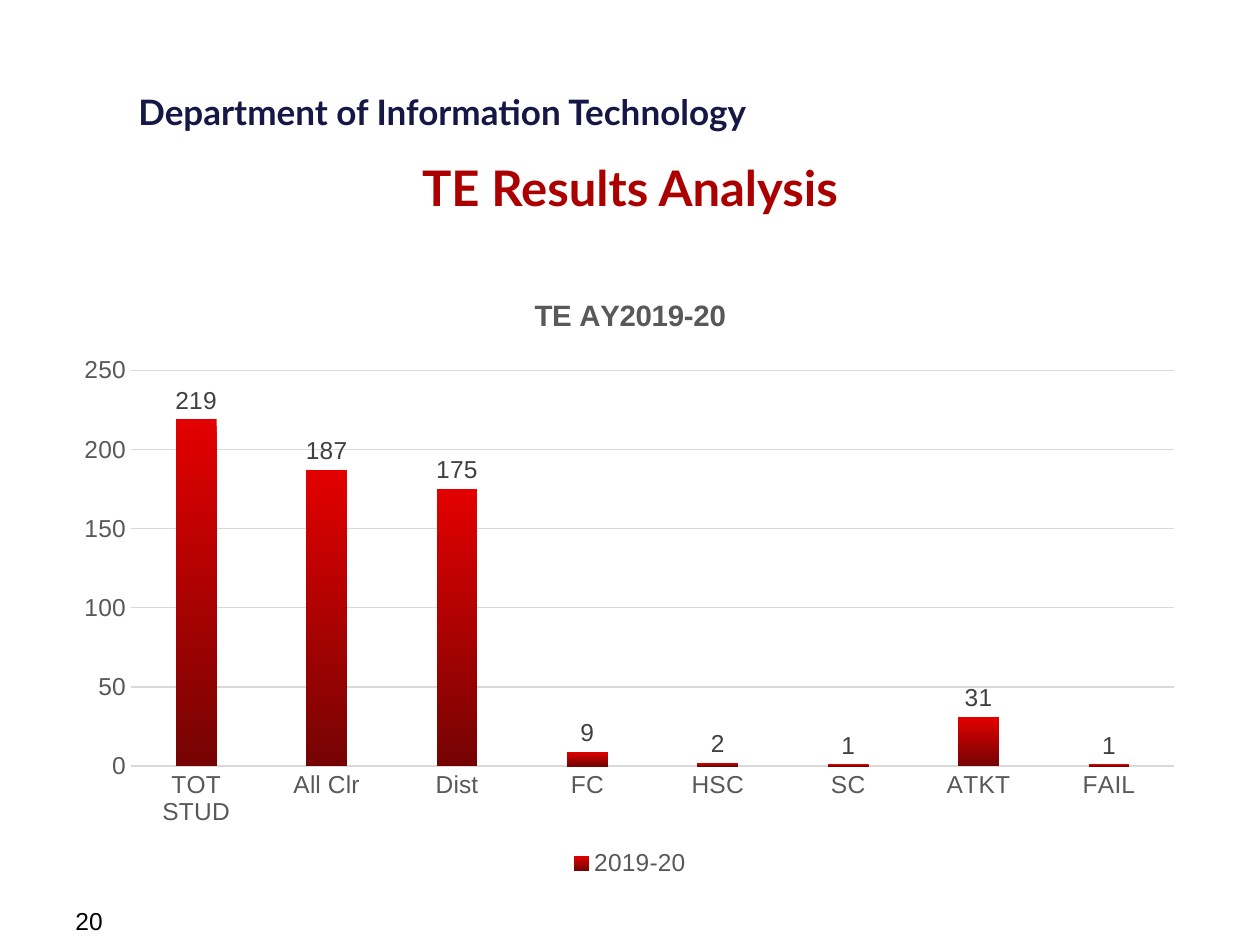
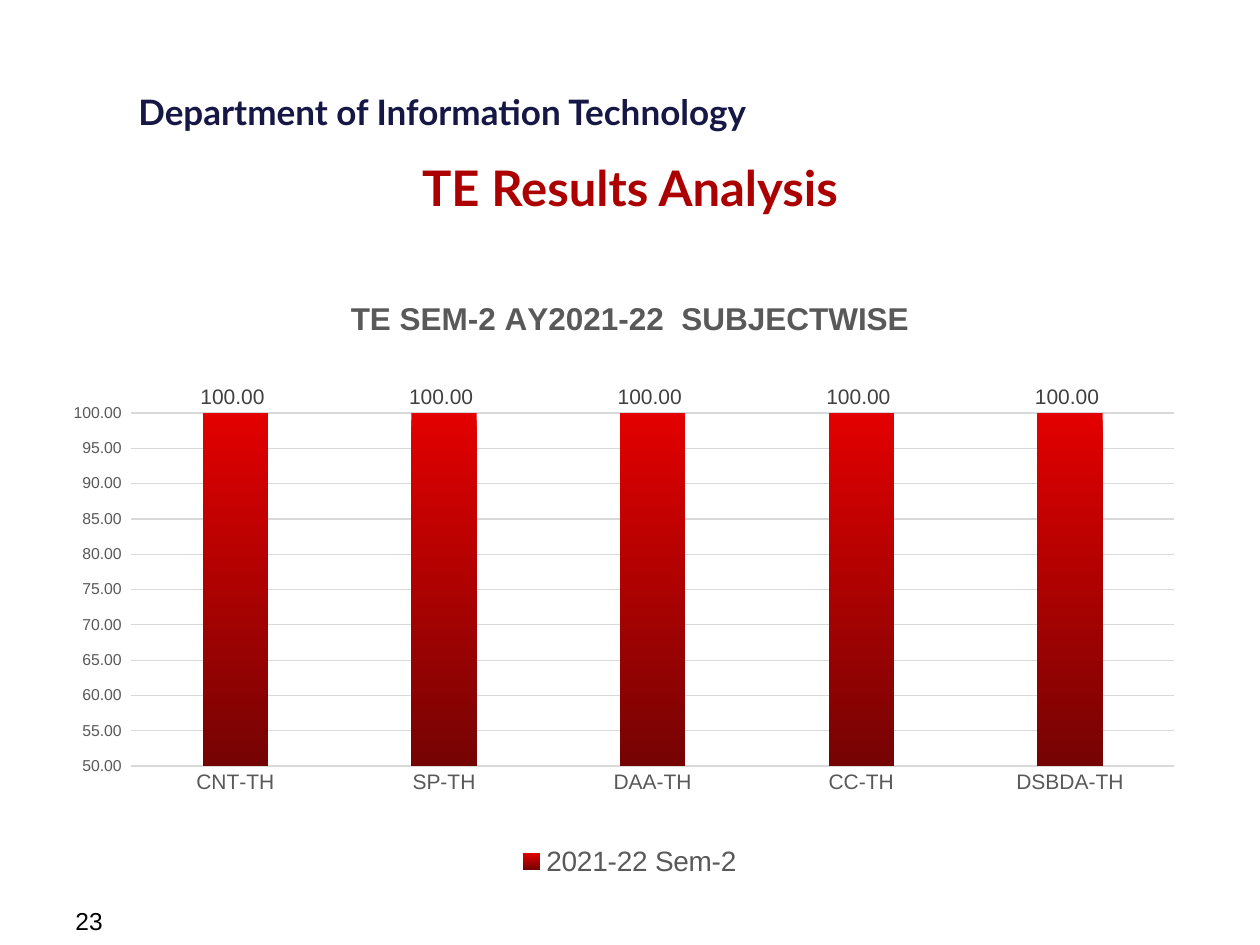
from pptx import Presentation
from pptx.chart.data import CategoryChartData
from pptx.dml.color import RGBColor
from pptx.enum.chart import XL_CHART_TYPE, XL_LABEL_POSITION, XL_LEGEND_POSITION, XL_TICK_MARK
from pptx.enum.text import PP_ALIGN
from pptx.oxml import parse_xml
from pptx.oxml.ns import nsdecls
from pptx.util import Pt

# Shared style
NAVY, RED, BLACK = "171745", "AC0000", "000000"
BAR_TOP, BAR_BOTTOM = "E30000", "760303"
AXIS_GREY, LABEL_GREY, GRID_GREY = "595959", "404040", "D9D9D9"
HEADING_FONT, BODY_FONT = "Lato", "Arial"
MARGIN, CONTENT_WIDTH = 36, 648


def color(hex_string):
    return RGBColor.from_string(hex_string)


def format_font(font, size, hex_color, name=BODY_FONT, bold=False):
    font.size = Pt(size)
    font.name = name
    font.bold = bold
    font.color.rgb = color(hex_color)


def add_text(slide, text, left, top, width, height, align=PP_ALIGN.LEFT, wrap=True, **font_format):
    shape = slide.shapes.add_textbox(Pt(left), Pt(top), Pt(width), Pt(height))
    shape.text_frame.word_wrap = wrap
    paragraph = shape.text_frame.paragraphs[0]
    paragraph.alignment = align
    run = paragraph.add_run()
    run.text = text
    format_font(run.font, **font_format)


def add_frame(slide, page_number):
    """Department line, slide title and page number."""
    add_text(slide, "Department of Information Technology", 72, 48, 385, 32,
             wrap=False, size=20, hex_color=NAVY, name=HEADING_FONT, bold=True)
    add_text(slide, "TE Results Analysis", MARGIN, 86.4, CONTENT_WIDTH, 34.6,
             align=PP_ALIGN.CENTER, size=28, hex_color=RED, name=HEADING_FONT, bold=True)
    add_text(slide, str(page_number), MARGIN, 514, 168, 19.4, size=14, hex_color=BLACK)


def place_plot(chart, left, top, width, height):
    """Fix the inner plot area, as fractions of the chart."""
    parts = zip("xywh", (left, top, width, height))
    values = "".join(f'<c:{key} val="{value}"/>' for key, value in parts)
    layout = parse_xml(
        f'<c:layout {nsdecls("c")}><c:manualLayout><c:layoutTarget val="inner"/>'
        f'<c:xMode val="edge"/><c:yMode val="edge"/>{values}</c:manualLayout></c:layout>')
    plot_area = chart.plots[0]._element.getparent()
    for old_layout in plot_area.findall(layout.tag):
        plot_area.remove(old_layout)
    plot_area.insert(0, layout)


def style_axes(chart, category_size, value_size, limits, number_format):
    category_axis, value_axis = chart.category_axis, chart.value_axis
    for axis, size in ((category_axis, category_size), (value_axis, value_size)):
        axis.major_tick_mark = axis.minor_tick_mark = XL_TICK_MARK.NONE
        format_font(axis.tick_labels.font, size, AXIS_GREY)
    value_axis.format.line.fill.background()
    value_axis.minimum_scale, value_axis.maximum_scale, value_axis.major_unit = limits
    value_axis.tick_labels.number_format = number_format
    value_axis.tick_labels.number_format_is_linked = False
    for line in (category_axis.format.line, value_axis.major_gridlines.format.line):
        line.color.rgb = color(GRID_GREY)
        line.width = Pt(0.75)


def style_bars(plot, label_size, number_format):
    plot.gap_width, plot.overlap, plot.vary_by_categories = 219, -27, False
    fill = plot.series[0].format.fill
    fill.gradient()
    fill.gradient_angle = 270
    for stop, hex_color in zip(fill.gradient_stops, (BAR_TOP, BAR_BOTTOM)):
        stop.color.rgb = color(hex_color)
    labels = plot.series[0].data_labels
    labels.show_value = True
    labels.position = XL_LABEL_POSITION.OUTSIDE_END
    labels.number_format = number_format
    labels.number_format_is_linked = False
    format_font(labels.font, label_size, LABEL_GREY)


def add_result_chart(slide, title, series_name, results, plot_box, limits, number_format="General",
                     title_size=18, category_size=12, value_size=9, label_size=12, legend_size=16):
    data = CategoryChartData()
    data.categories = list(results)
    data.add_series(series_name, list(results.values()))
    chart = slide.shapes.add_chart(XL_CHART_TYPE.COLUMN_CLUSTERED, Pt(MARGIN), Pt(156),
                                   Pt(CONTENT_WIDTH), Pt(348), data).chart
    format_font(chart.font, value_size, BLACK)

    # Title and legend
    chart.has_title = True
    run = chart.chart_title.text_frame.paragraphs[0].add_run()
    run.text = title
    format_font(run.font, title_size, AXIS_GREY, bold=True)
    chart.chart_title.include_in_layout = False
    chart.has_legend = True
    chart.legend.position = XL_LEGEND_POSITION.BOTTOM
    chart.legend.include_in_layout = False
    format_font(chart.legend.font, legend_size, AXIS_GREY)

    style_axes(chart, category_size, value_size, limits, number_format)
    style_bars(chart.plots[0], label_size, number_format)
    place_plot(chart, *plot_box)


def add_slide(presentation, page_number):
    slide = presentation.slides.add_slide(presentation.slide_layouts[6])
    add_frame(slide, page_number)
    return slide


def main():
    presentation = Presentation()
    presentation.slide_width, presentation.slide_height = Pt(720), Pt(540)

    # Overall results
    year_results = {"TOT STUD": 219, "All Clr": 187, "Dist": 175, "FC": 9,
                    "HSC": 2, "SC": 1, "ATKT": 31, "FAIL": 1}
    add_result_chart(add_slide(presentation, 20), "TE AY2019-20", "2019-20", year_results,
                     plot_box=(0.06, 0.16, 0.92, 0.65), limits=(0, 250, 50), title_size=16.8,
                     category_size=14, value_size=14, label_size=14, legend_size=14)

    # Results by subject
    subjects = ("CNT-TH", "SP-TH", "DAA-TH", "CC-TH", "DSBDA-TH")
    add_result_chart(add_slide(presentation, 23), "TE SEM-2 AY2021-22  SUBJECTWISE", "2021-22 Sem-2",
                     dict.fromkeys(subjects, 100), plot_box=(0.06, 0.23, 0.92, 0.58),
                     limits=(50, 100, 5), number_format="0.00_ ")

    presentation.save("out.pptx")


if __name__ == "__main__":
    main()
